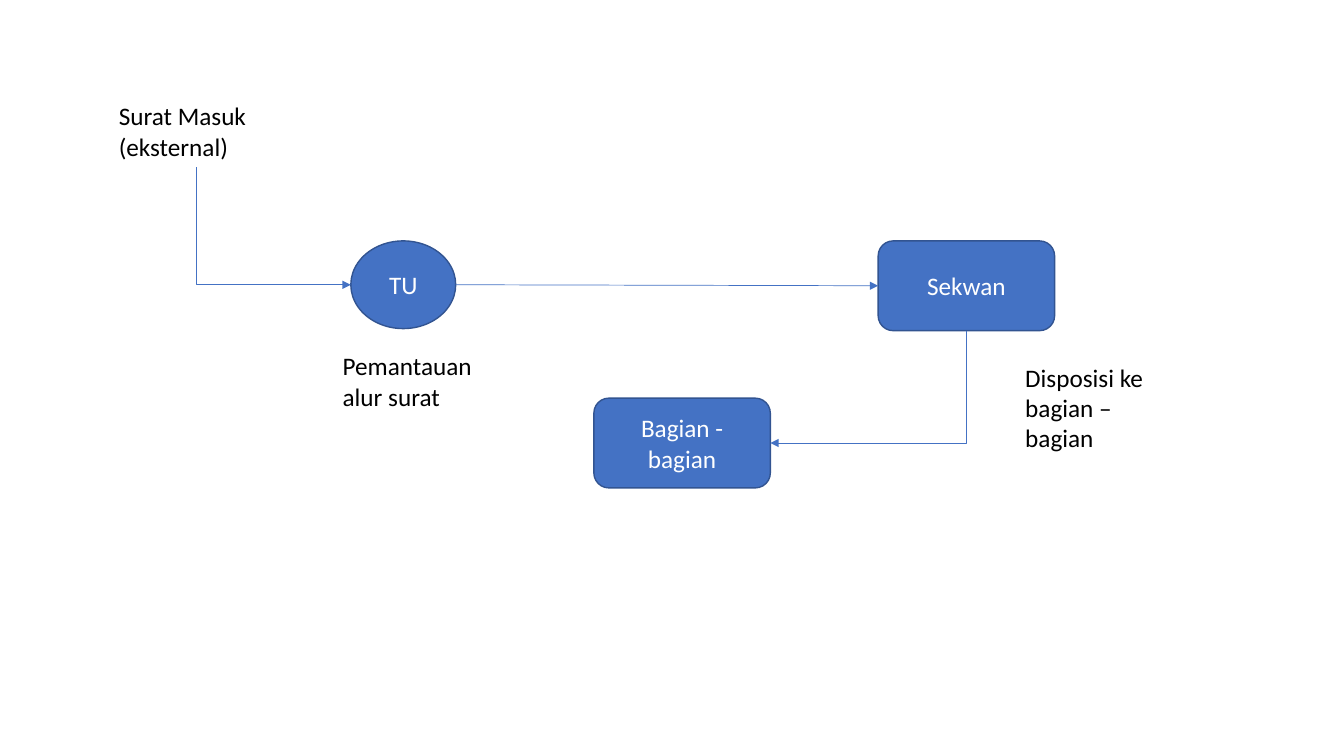
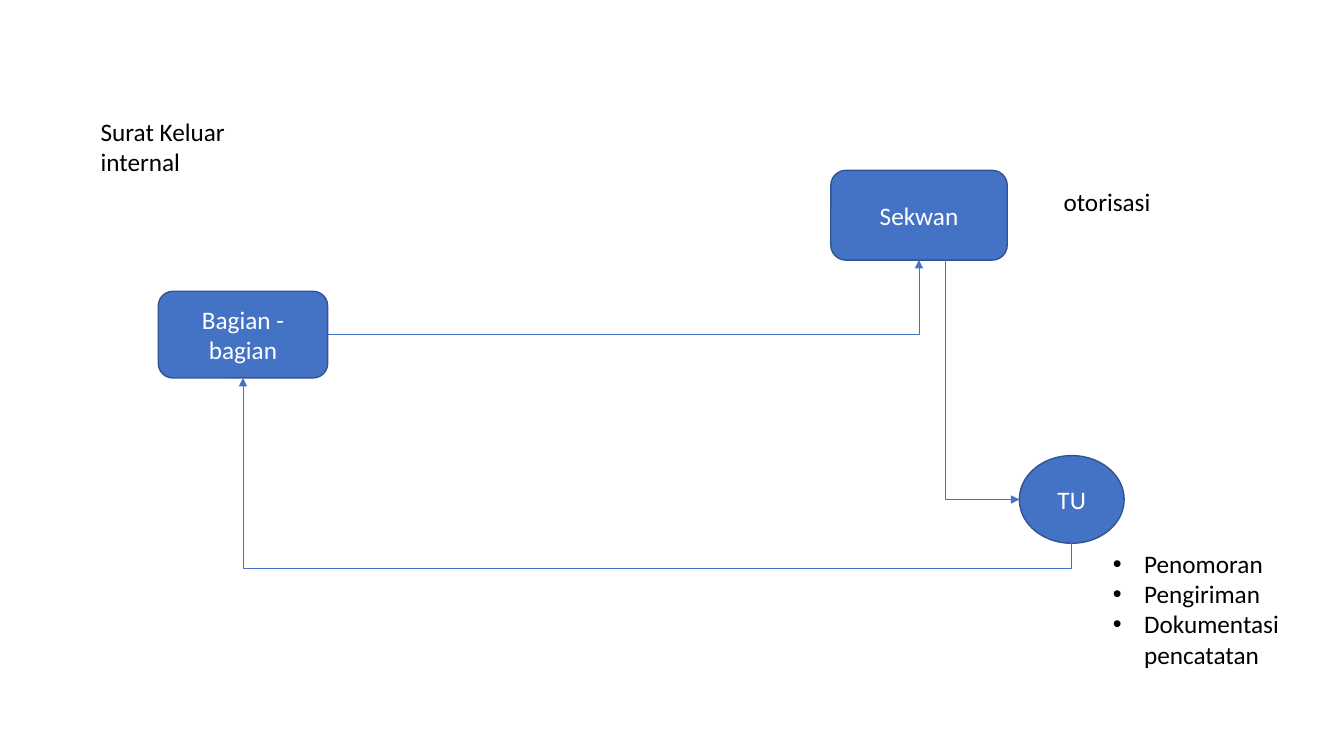
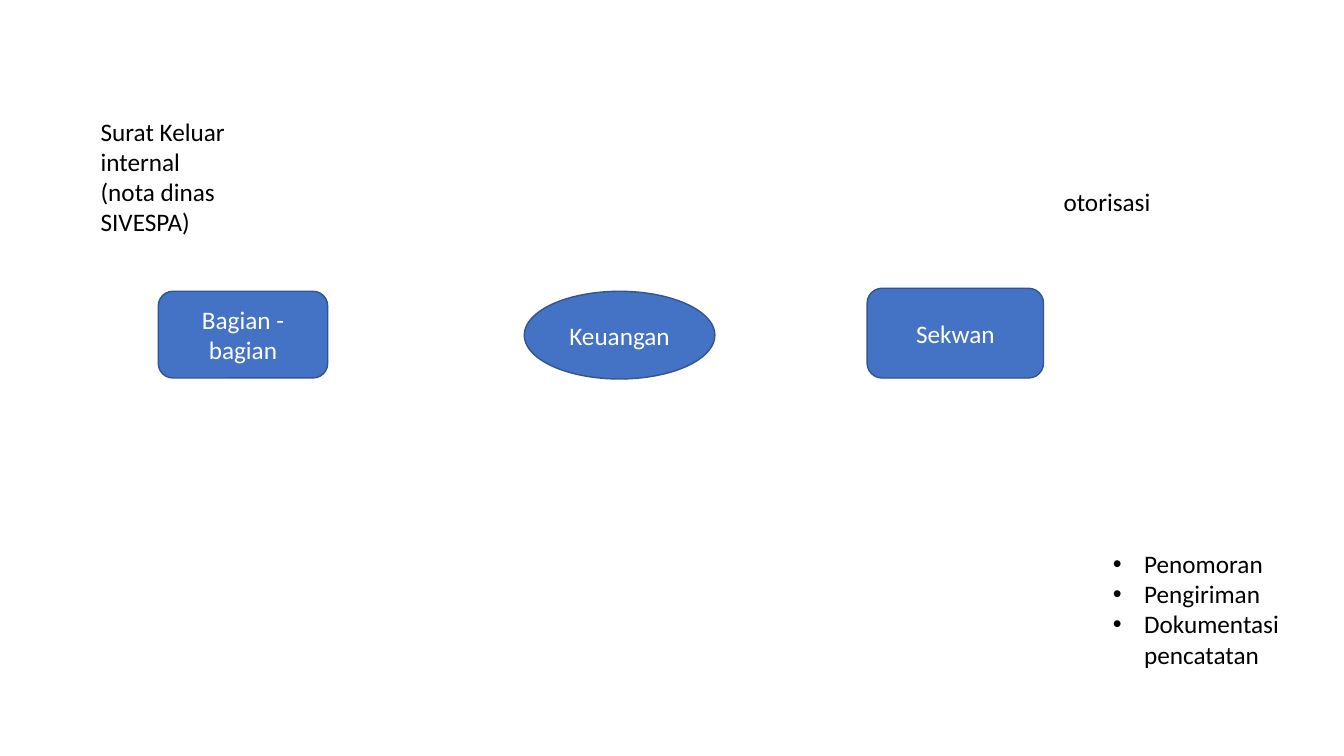
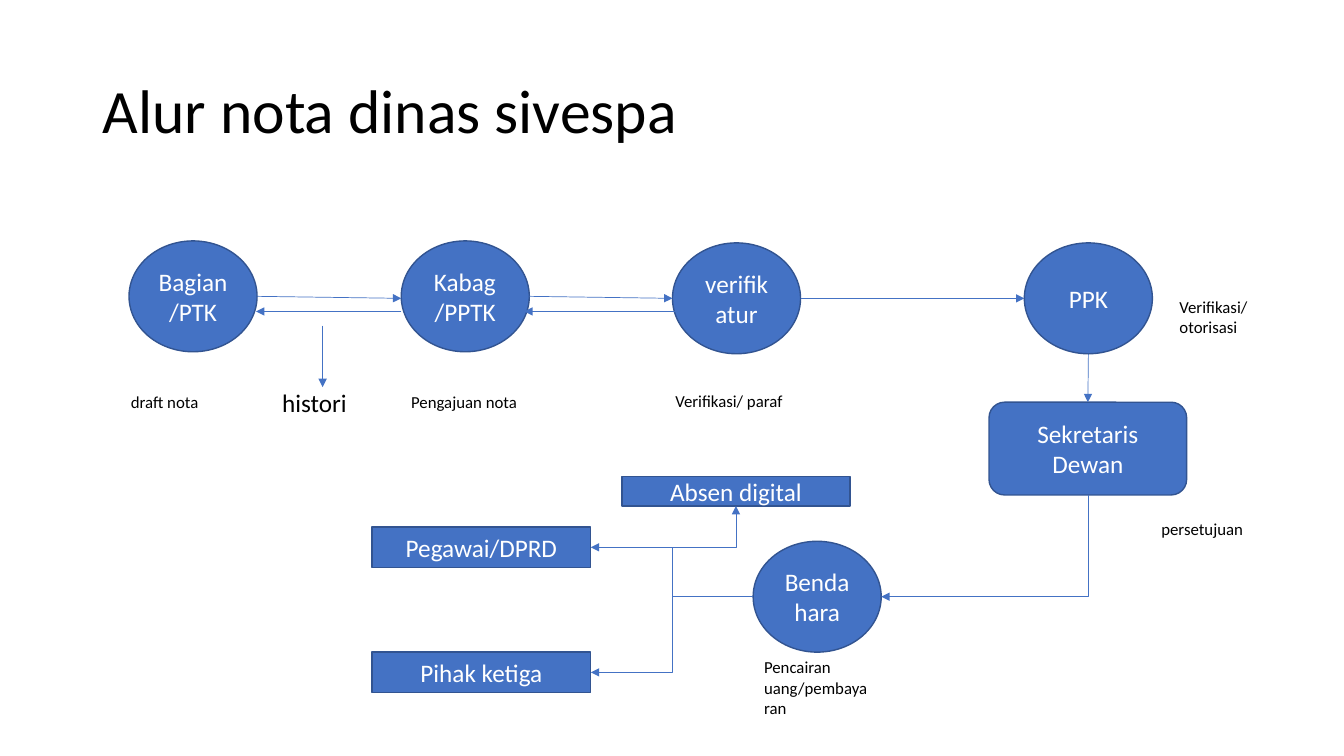
from dataclasses import dataclass
from typing import Any, NamedTuple, Optional

from lxml.etree import SubElement
from pptx import Presentation
from pptx.dml.color import RGBColor
from pptx.enum.shapes import MSO_CONNECTOR as Connector, MSO_SHAPE as Shape
from pptx.enum.text import MSO_ANCHOR as Anchor, MSO_AUTO_SIZE as AutoSize, PP_ALIGN as Align
from pptx.oxml.ns import qn
from pptx.util import Inches, Pt

COLORS = {"fill": "4472C4", "outline": "325491", "light": "FFFFFF", "dark": "000000"}
FONT = "Calibri"
BULLET_INDENT = Inches(0.31)
BLANK, TITLE_ONLY = 6, 5


class Point(NamedTuple):
    x: float
    y: float


@dataclass(frozen=True)
class Node:
    """A filled step of the flow; its side midpoints anchor the links."""
    text: str
    x: float
    y: float
    w: float = 1.75
    h: float = 0.89
    kind: Shape = Shape.ROUNDED_RECTANGLE

    @property
    def top(self) -> Point:
        return Point(self.x + self.w / 2, self.y)

    @property
    def bottom(self) -> Point:
        return Point(self.x + self.w / 2, self.y + self.h)

    @property
    def left(self) -> Point:
        return Point(self.x, self.y + self.h / 2)

    @property
    def right(self) -> Point:
        return Point(self.x + self.w, self.y + self.h / 2)


@dataclass(frozen=True)
class Note:
    """Plain text beside the flow; several lines make a bulleted list."""
    lines: tuple[str, ...]
    x: float
    y: float
    w: float = 1.27
    h: float = 0.3
    size: int = 12


@dataclass(frozen=True)
class Link:
    """An arrow; bends is the number of corners, adjust places the middle leg."""
    start: Point
    end: Point
    bends: int = 0
    vertical_first: bool = False
    adjust: Optional[float] = None
    joined: Optional[Node] = None
    site: int = 0


@dataclass(frozen=True)
class Flow:
    nodes: tuple[Node, ...]
    notes: tuple[Note, ...]
    links: tuple[Link, ...] = ()
    title: str = ""


def color(name: str) -> RGBColor:
    return RGBColor.from_string(COLORS[name])


def apply(target: Any, values: dict[str, Any]) -> None:
    for name, value in values.items():
        setattr(target, name, value)


def style_font(paragraph: Any, size: int, color_name: str) -> None:
    apply(paragraph.font, {"name": FONT, "size": Pt(size)})
    paragraph.font.color.rgb = color(color_name)


def box(x: float, y: float, w: float, h: float) -> tuple[int, ...]:
    return tuple(Inches(value) for value in (x, y, w, h))


def draw_title(slide: Any, text: str) -> None:
    title = slide.shapes.title
    apply(title, dict(zip(("left", "top", "width", "height"), box(0.92, 0.4, 11.5, 1.45))))
    title.text_frame.text = text
    title.text_frame.vertical_anchor = Anchor.MIDDLE
    paragraph = title.text_frame.paragraphs[0]
    apply(paragraph, {"alignment": Align.LEFT, "line_spacing": 0.9})
    style_font(paragraph, 44, "dark")


def draw_node(slide: Any, node: Node) -> Any:
    step = slide.shapes.add_shape(node.kind, *box(node.x, node.y, node.w, node.h))
    step.shadow.inherit = False
    step.fill.solid()
    step.fill.fore_color.rgb = color("fill")
    step.line.color.rgb = color("outline")
    step.line.width = Pt(1)
    frame = step.text_frame
    apply(frame, {"text": node.text, "word_wrap": True, "vertical_anchor": Anchor.MIDDLE})
    frame.paragraphs[0].alignment = Align.CENTER
    style_font(frame.paragraphs[0], 18, "light")
    return step


def add_bullet(paragraph: Any) -> None:
    props = paragraph._p.get_or_add_pPr()
    apply_xml = {"marL": BULLET_INDENT, "indent": -BULLET_INDENT}
    for name, value in apply_xml.items():
        props.set(name, str(value))
    SubElement(props, qn("a:buFont")).set("typeface", "Arial")
    SubElement(props, qn("a:buChar")).set("char", "•")


def draw_note(slide: Any, note: Note) -> None:
    frame = slide.shapes.add_textbox(*box(note.x, note.y, note.w, note.h)).text_frame
    apply(frame, {"text": "\n".join(note.lines), "word_wrap": True,
                  "auto_size": AutoSize.SHAPE_TO_FIT_TEXT})
    for paragraph in frame.paragraphs:
        if len(note.lines) > 1:
            add_bullet(paragraph)
        style_font(paragraph, note.size, "dark")


def draw_link(slide: Any, link: Link, steps: dict[Node, Any]) -> None:
    start, end = link.start, link.end
    if link.vertical_first:
        # Lay the route out sideways; the quarter turn below stands it up
        dx, dy = end.x - start.x, end.y - start.y
        mid = Point(start.x + dx / 2, start.y + dy / 2)
        start = Point(mid.x - dy / 2, mid.y + dx / 2)
        end = Point(mid.x + dy / 2, mid.y - dx / 2)
    kind = Connector.ELBOW if link.bends else Connector.STRAIGHT
    arrow = slide.shapes.add_connector(kind, *(Inches(v) for v in (*start, *end)))
    props = arrow._element.spPr
    if link.vertical_first:
        props.find(qn("a:xfrm")).set("rot", str(90 * 60000))
    geometry = props.find(qn("a:prstGeom"))
    if link.bends == 1:
        geometry.set("prst", "bentConnector2")
    if link.adjust is not None:
        guide = SubElement(geometry.find(qn("a:avLst")), qn("a:gd"))
        guide.set("name", "adj1")
        guide.set("fmla", f"val {round(link.adjust * 100000)}")
    if link.joined:
        arrow.end_connect(steps[link.joined], link.site)
    arrow.line.color.rgb = color("fill")
    arrow.line.width = Pt(0.5)
    SubElement(arrow.line._get_or_add_ln(), qn("a:tailEnd")).set("type", "triangle")
    SubElement(props, qn("a:effectLst"))


def draw_flow(deck: Any, flow: Flow) -> None:
    slide = deck.slides.add_slide(deck.slide_layouts[TITLE_ONLY if flow.title else BLANK])
    if flow.title:
        draw_title(slide, flow.title)
    steps = {node: draw_node(slide, node) for node in flow.nodes}
    for link in flow.links:
        draw_link(slide, link, steps)
    for note in flow.notes:
        draw_note(slide, note)


def oval(text: str, x: float, y: float, w: float = 1.27, h: float = 1.1) -> Node:
    return Node(text, x, y, w, h, Shape.OVAL)


def bar(text: str, x: float, y: float, w: float = 2.17, h: float = 0.4) -> Node:
    return Node(text, x, y, w, h, Shape.RECTANGLE)


# Notes and step shared by the outgoing letter slides
SECTIONS = Node("Bagian - bagian", 1.57, 2.89, 1.68, 0.86)
AUTHORISATION = Note(("otorisasi",), 10.45, 1.8, 1.14, 0.4, 18)
OFFICE_TASKS = Note(("Penomoran", "Pengiriman", "Dokumentasi pencatatan"),
                    10.94, 5.39, 1.89, 1.31, 18)


def incoming_letter() -> Flow:
    office = oval("TU", 3.48, 2.39, 1.04, 0.87)
    secretary = Node("Sekwan", 8.71, 2.39)
    sections = Node("Bagian - bagian", 5.89, 3.95)
    return Flow(
        nodes=(office, secretary, sections),
        notes=(Note(("Surat Masuk (eksternal)",), 1.08, 0.95, 1.74, 0.71, 18),
               Note(("Disposisi ke bagian – bagian",), 10.07, 3.54, 1.39, 1.01, 18),
               Note(("Pemantauan alur surat",), 3.3, 3.43, 1.52, 0.71, 18)),
        links=(Link(Point(1.95, 1.66), office.left, 1, True),
               Link(office.right, secretary.left, joined=secretary, site=1),
               Link(secretary.bottom, sections.right, 1, True)))


def outgoing_letter() -> Flow:
    secretary = Node("Sekwan", 8.24, 1.69)
    office = oval("TU", 10.11, 4.52, 1.04, 0.87)
    return Flow(
        nodes=(SECTIONS, secretary, office),
        notes=(Note(("Surat Keluar internal",), 0.9, 1.1, 1.56, 0.71, 18),
               AUTHORISATION, OFFICE_TASKS),
        links=(Link(SECTIONS.right, secretary.bottom, 1),
               Link(Point(9.38, secretary.bottom.y), office.left, 1, True),
               Link(office.bottom, SECTIONS.bottom, 2, True, adjust=-0.153)))


def official_note() -> Flow:
    return Flow(
        nodes=(SECTIONS, Node("Sekwan", 8.6, 2.86), oval("Keuangan", 5.2, 2.89, 1.89, 0.87)),
        notes=(Note(("Surat Keluar internal (nota dinas SIVESPA)",), 0.9, 1.1, 1.56, 1.31, 18),
               AUTHORISATION, OFFICE_TASKS))


def note_workflow() -> Flow:
    drafter = oval("Bagian/PTK", 1.28, 2.39)
    head = oval("Kabag/PPTK", 3.98, 2.39)
    verifier = oval("verifikatur", 6.67, 2.41)
    approver = oval("PPK", 10.16, 2.41)
    secretary = Node("Sekretaris Dewan", 9.81, 3.99, 1.96, 0.92)
    treasurer = oval("Bendahara", 7.47, 5.37)
    staff = bar("Pegawai/DPRD", 3.69, 5.23)
    third_party = bar("Pihak ketiga", 3.69, 6.47)
    attendance = bar("Absen digital", 6.17, 4.73, 2.26, 0.29)
    return_y = 3.09
    return Flow(
        title="Alur nota dinas sivespa",
        nodes=(drafter, head, verifier, approver, secretary, treasurer,
               staff, third_party, attendance),
        notes=(Note(("draft nota",), 1.2, 3.84),
               Note(("Pengajuan nota",), 3.98, 3.84),
               Note(("Verifikasi/ paraf",), 6.6, 3.83),
               Note(("Verifikasi/ otorisasi",), 11.6, 2.89, h=0.5),
               Note(("persetujuan",), 11.42, 5.1),
               Note(("Pencairan uang/pembayaran",), 7.48, 6.47, h=0.71),
               Note(("histori",), 2.7, 3.79, 1.01, 0.4, 18)),
        links=(Link(drafter.right, Point(head.x, 2.96)),
               Link(head.right, verifier.left),
               Link(verifier.right, approver.left),
               Link(approver.bottom, secretary.top, joined=secretary, site=0),
               Link(secretary.bottom, treasurer.right, 1, True),
               Link(treasurer.left, staff.right, 2),
               Link(treasurer.left, third_party.right, 2),
               Link(Point(6.66, staff.right.y), attendance.bottom, 1),
               Link(Point(head.x, return_y), Point(2.54, return_y)),
               Link(Point(6.71, return_y), Point(5.2, return_y)),
               Link(Point(3.2, 3.23), Point(3.2, 3.84))))


def main() -> None:
    deck = Presentation()
    apply(deck, {"slide_width": Inches(13.33), "slide_height": Inches(7.5)})
    for flow in (incoming_letter(), outgoing_letter(), official_note(), note_workflow()):
        draw_flow(deck, flow)
    deck.save("out.pptx")


if __name__ == "__main__":
    main()
